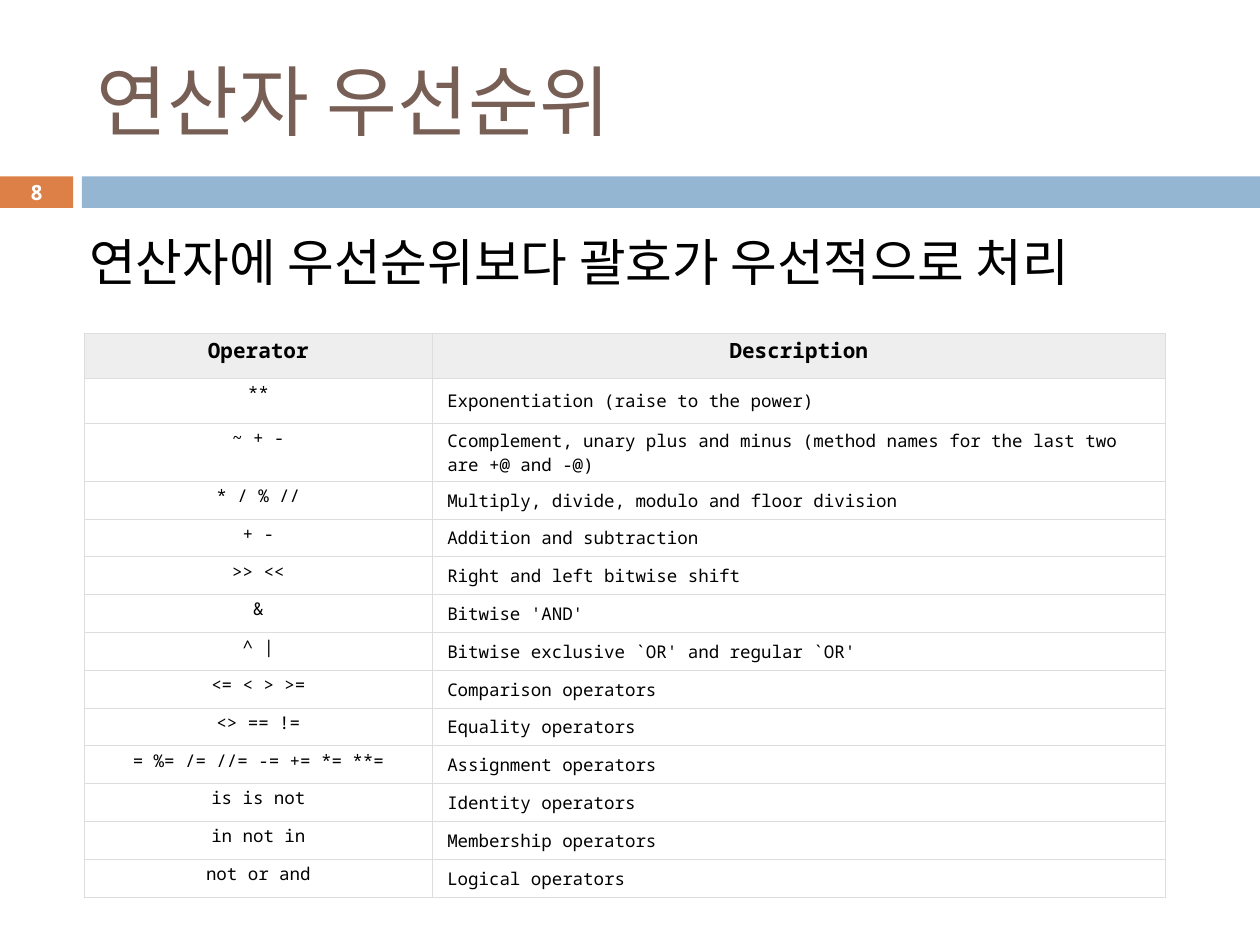
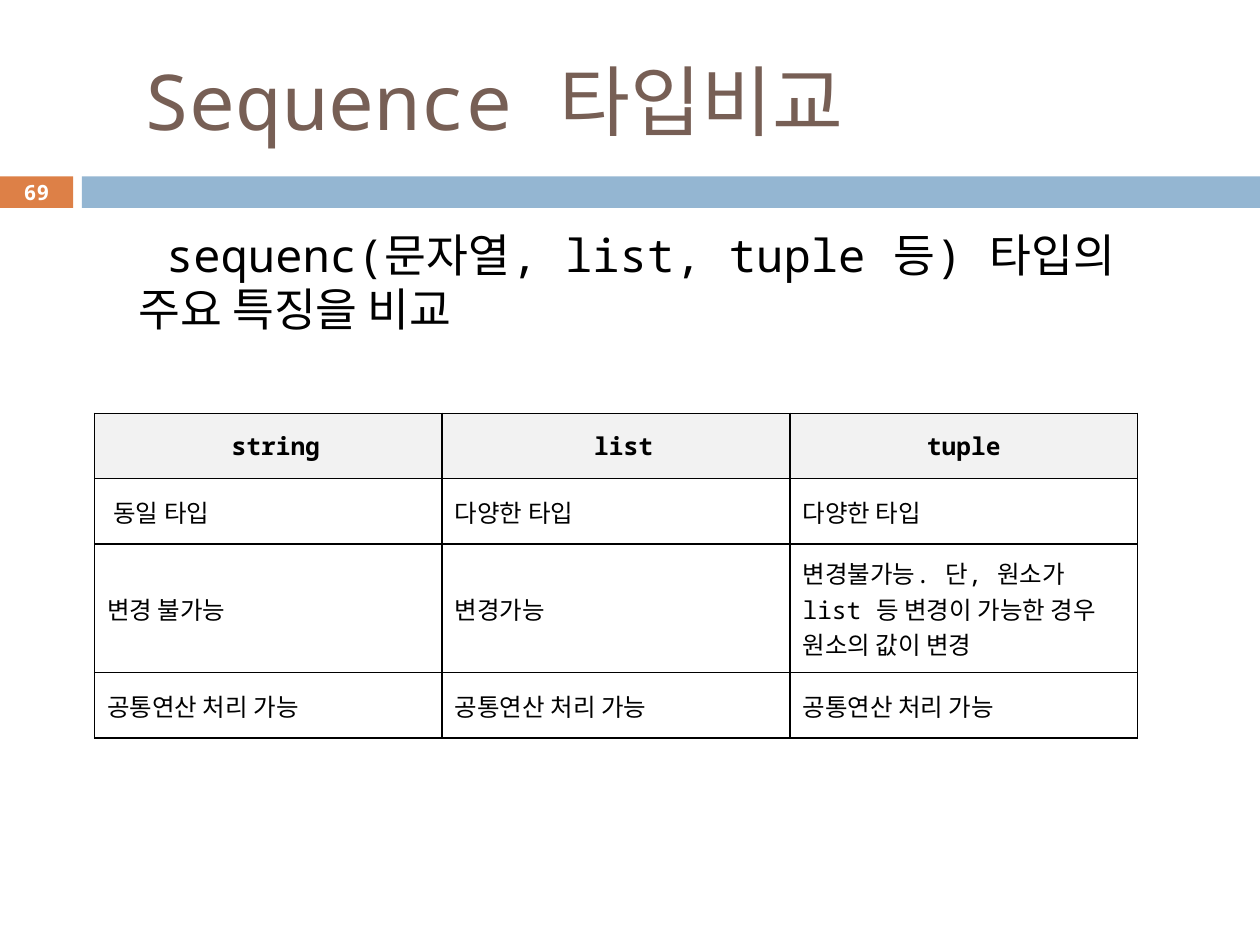
from lxml.etree import SubElement as Sub
from pptx import Presentation
from pptx.dml.color import RGBColor
from pptx.enum.shapes import MSO_SHAPE as Shape
from pptx.enum.text import MSO_ANCHOR as Anchor, PP_ALIGN as Align
from pptx.oxml.ns import qn
from pptx.util import Inches, Pt

FONT = "Noto Sans Mono"
BLACK, WHITE, BROWN = "000000", "FFFFFF", "775F55"
ORANGE, BLUE = "DD8047", "94B6D2"

RANKS = [
    ("Operator", "Description"),
    ("**", "Exponentiation (raise to the power)"),
    ("~ + -", "Ccomplement, unary plus and minus (method names for the last two are +@ and -@)"),
    ("* / % //", "Multiply, divide, modulo and floor division"),
    ("+ -", "Addition and subtraction"),
    (">> <<", "Right and left bitwise shift"),
    ("&", "Bitwise 'AND'"),
    ("^ |", "Bitwise exclusive `OR' and regular `OR'"),
    ("<= < > >=", "Comparison operators"),
    ("<> == !=", "Equality operators"),
    ("= %= /= //= -= += *= **=", "Assignment operators"),
    ("is is not", "Identity operators"),
    ("in not in", "Membership operators"),
    ("not or and", "Logical operators"),
]
TYPES = [
    ("string", "list", "tuple"),
    ("동일 타입", "다양한 타입", "다양한 타입"),
    ("변경 불가능", "변경가능", "변경불가능. 단, 원소가 list 등 변경이 가능한 경우 원소의 값이 변경"),
    ("공통연산 처리 가능",) * 3,
]
TYPE_PADS = {(0, 0): 0.12, (0, 1): 0.12, (1, 0): 0.05}


def color(code):
    return RGBColor.from_string(code)


def write(frame, text, size=14, ink=BLACK, bold=False, align=Align.LEFT,
          left=0, first=0):
    frame.word_wrap = True
    para = frame.paragraphs[0]
    para.alignment = align
    props = para._p.get_or_add_pPr()
    props.set("marL", str(Inches(left)))
    props.set("indent", str(Inches(first)))
    run = para.add_run()
    run.text = text
    font = run.font
    font.name, font.size, font.bold = FONT, Pt(size), bold
    font.color.rgb = color(ink)


def add_text(slide, text, box, anchor=Anchor.TOP, **style):
    frame = slide.shapes.add_textbox(*map(Inches, box)).text_frame
    frame.vertical_anchor = anchor
    write(frame, text, **style)


def add_band(slide, left, width, fill):
    band = slide.shapes.add_shape(
        Shape.RECTANGLE, Inches(left), Inches(1.4), Inches(width), Inches(0.25))
    band.shadow.inherit = False
    band.fill.solid()
    band.fill.fore_color.rgb = color(fill)
    band.line.fill.background()


def add_page(deck, title, number, left=0):
    slide = deck.slides.add_slide(deck.slide_layouts[6])
    add_band(slide, 0, 0.58, ORANGE)
    add_band(slide, 0.65, 9.35, BLUE)
    add_text(slide, title, (0.67, 0.25, 8.92, 1.08), Anchor.MIDDLE,
             size=44, ink=BROWN, left=left)
    add_text(slide, number, (0, 1.39, 0.58, 0.27), Anchor.MIDDLE,
             size=12, ink=WHITE, bold=True, align=Align.CENTER)
    return slide


def add_border(cell, ink, width):
    props = cell._tc.get_or_add_tcPr()
    for side in ("lnL", "lnR", "lnT", "lnB"):
        line = Sub(props, qn(f"a:{side}"), w=str(Pt(width)))
        fill = Sub(line, qn("a:solidFill"))
        Sub(fill, qn("a:srgbClr"), val=ink)


def add_grid(slide, rows, left, top, widths, heights, ink, width, head):
    frame = slide.shapes.add_table(
        len(rows), len(widths), Inches(left), Inches(top),
        Inches(sum(widths)), Inches(sum(heights)))
    table = frame.table
    for col, size in zip(table.columns, widths):
        col.width = Inches(size)
    for row, size in zip(table.rows, heights):
        row.height = Inches(size)
    for cell in table.iter_cells():
        add_border(cell, ink, width)
        cell.fill.background()
    for cell in table.rows[0].cells:
        cell.fill.solid()
        cell.fill.fore_color.rgb = color(head)
    return table


def fill_ranks(table):
    for r, row in enumerate(RANKS):
        for c, text in enumerate(row):
            cell = table.cell(r, c)
            prose = r > 0 and c == 1
            cell.margin_left = cell.margin_right = Inches(0.12 if prose else 0.02)
            cell.margin_top = cell.margin_bottom = Inches(0.02)
            cell.vertical_anchor = Anchor.MIDDLE if prose else Anchor.TOP
            write(cell.text_frame, text, size=10 if r else 12, bold=r == 0,
                  align=Align.LEFT if prose else Align.CENTER)


def fill_types(table):
    for r, row in enumerate(TYPES):
        for c, text in enumerate(row):
            cell = table.cell(r, c)
            cell.vertical_anchor = Anchor.MIDDLE
            write(cell.text_frame, text, bold=r == 0, left=TYPE_PADS.get((r, c), 0),
                  align=Align.LEFT if r else Align.CENTER)


def add_ranks(deck):
    slide = add_page(deck, "연산자 우선순위", "8")
    table = add_grid(slide, RANKS, 0.67, 2.65, (2.76, 5.82),
                     [0.35, 0.36, 0.46] + [0.3] * 11, "DDDDDD", 0.6, "EEEEEE")
    fill_ranks(table)
    add_text(slide, "연산자에 우선순위보다 괄호가 우선적으로 처리",
             (0.5, 1.78, 9, 0.7), size=29, left=0.11)


def add_types(deck):
    slide = add_page(deck, "Sequence 타입비교", "69", left=0.37)
    add_text(slide, "sequenc(문자열, list, tuple 등) 타입의 주요 특징을 비교",
             (0.5, 1.75, 9, 1.06), size=26, left=0.5, first=0.22)
    table = add_grid(slide, TYPES, 0.75, 3.28, [2.76] * 3,
                     (0.52, 0.52, 1.02, 0.52), BLACK, 1, "F2F2F2")
    fill_types(table)


def main():
    deck = Presentation()
    deck.slide_width, deck.slide_height = Inches(10), Inches(7.5)
    add_ranks(deck)
    add_types(deck)
    deck.save("out.pptx")


if __name__ == "__main__":
    main()
